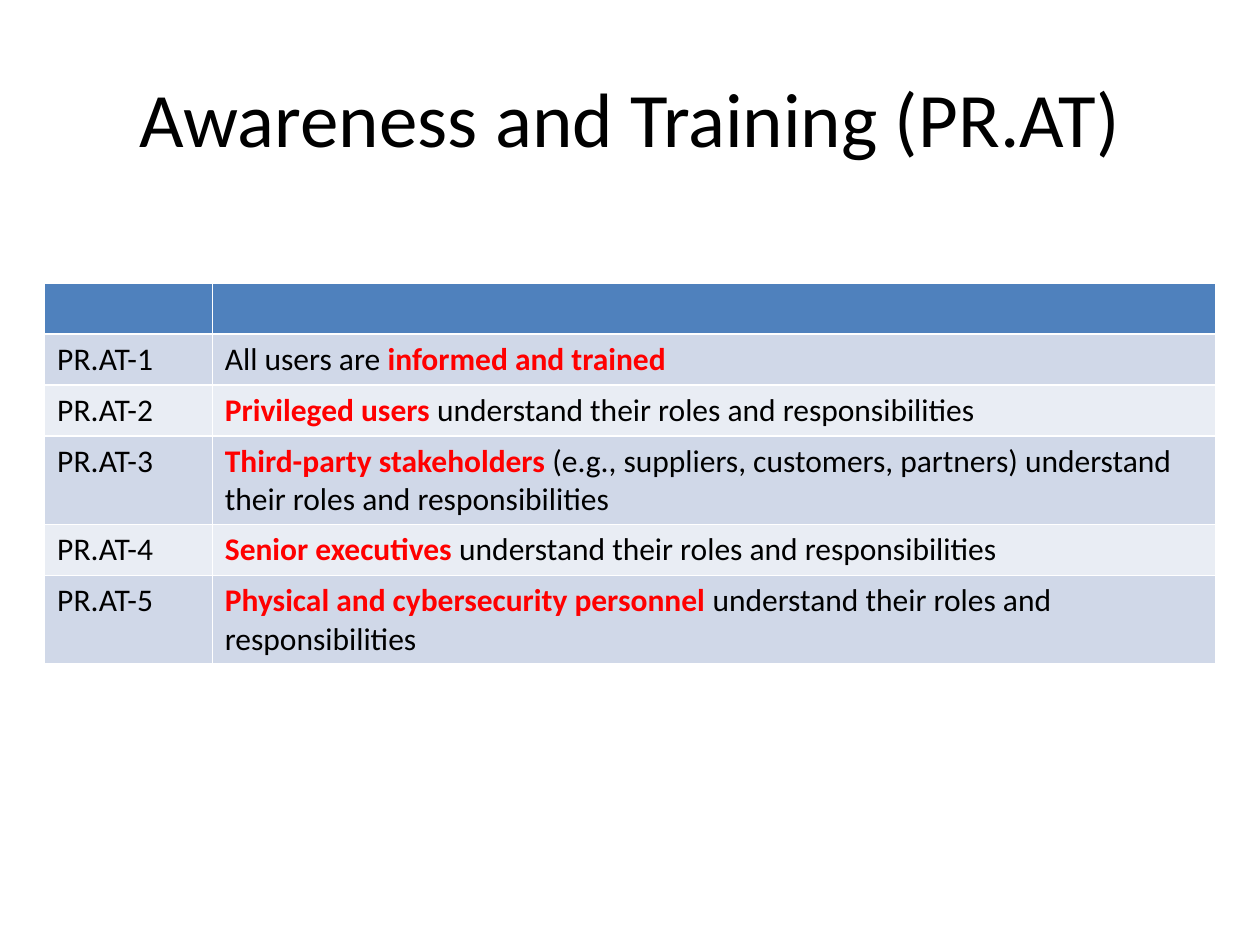
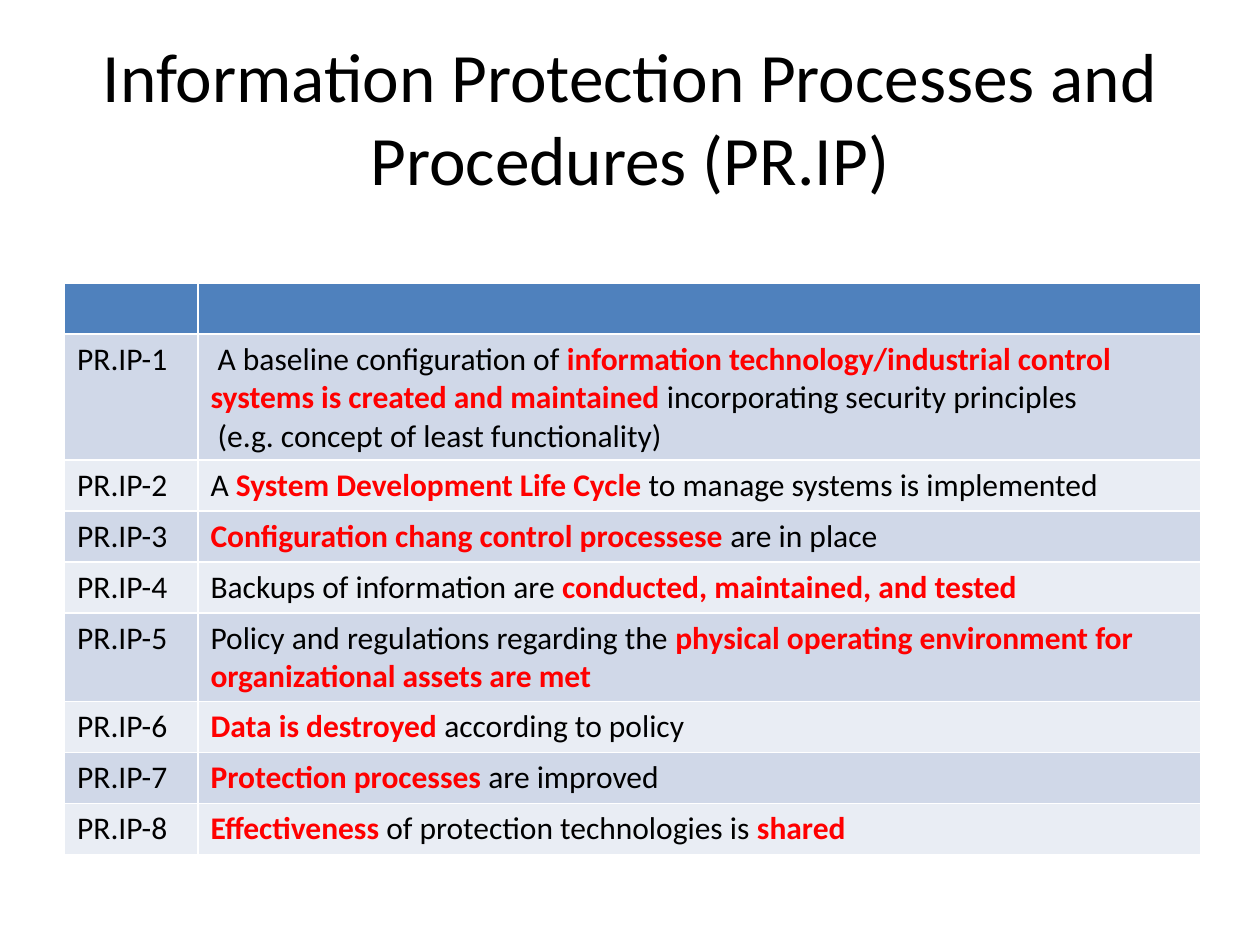
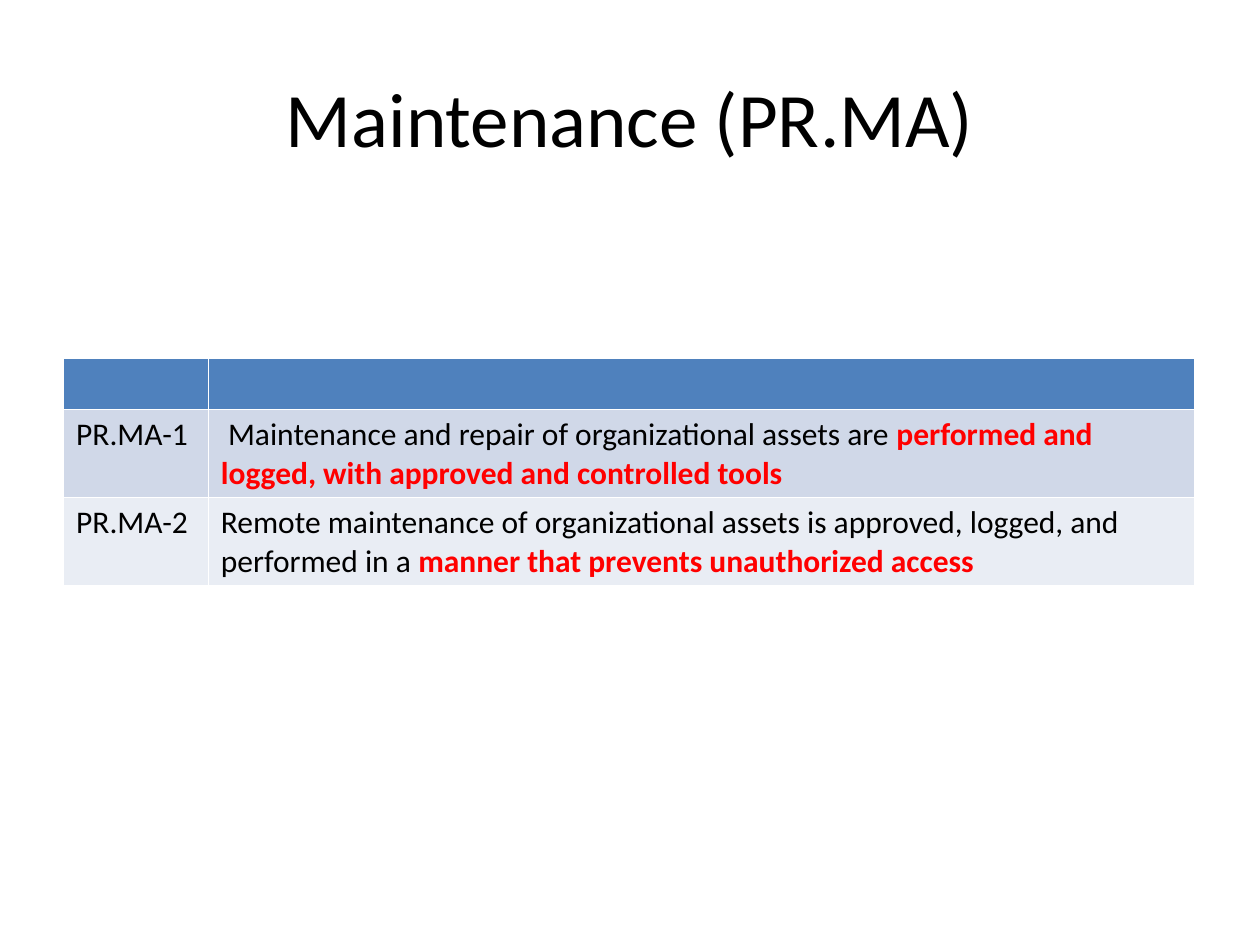
"""Builds three slides listing protection subcategories in tables."""
import pptx
import pptx.dml.color
import pptx.enum.text
import pptx.util

Cm, Pt = pptx.util.Cm, pptx.util.Pt

COLORS = {
    "text": "000000",
    "emphasis": "FF0000",
    "header": "4F81BD",
    "odd": "D0D8E8",
    "even": "E9EDF4",
}
FONT = "Calibri"
ROW_HEIGHT = 1.03

AWARENESS = [
    "All users are *informed and trained *",
    "*Privileged users* understand their roles and responsibilities ",
    "*Third-party stakeholders *(e.g., suppliers, customers, partners) "
    "understand their roles and responsibilities ",
    "*Senior executives *understand their roles and responsibilities ",
    "*Physical and cybersecurity personnel* understand their roles and responsibilities ",
]
PROTECTION = [
    " A baseline configuration of *information technology/industrial control systems "
    "is created and maintained *incorporating security principles\n"
    " (e.g. concept of least functionality)",
    "A *System Development Life Cycle *to manage systems is implemented",
    "*Configuration chang control processese *are in place",
    "Backups of information are *conducted, maintained, and tested*",
    "Policy and regulations regarding the *physical operating environment "
    "for organizational assets are met*",
    "*Data is destroyed *according to policy",
    "*Protection processes* are improved",
    "*Effectiveness* of protection technologies is *shared *",
]
MAINTENANCE = [
    " Maintenance and repair of organizational assets are *performed and logged, "
    "with approved and controlled tools*",
    "Remote maintenance of organizational assets is approved, logged, and performed "
    "in a *manner that prevents unauthorized access*",
]


def rgb(name):
    """Return the named colour."""
    return pptx.dml.color.RGBColor.from_string(COLORS[name])


def style_font(font, size):
    """Apply the shared typeface and text colour."""
    font.name = FONT
    font.size = Pt(size)
    font.color.rgb = rgb("text")


def add_title(slide, title, size):
    """Add the centred slide title."""
    box = slide.shapes.add_textbox(Cm(1.27), Cm(0.76), Cm(22.86), Cm(3.18))
    frame = box.text_frame
    frame.word_wrap = True
    frame.vertical_anchor = pptx.enum.text.MSO_ANCHOR.MIDDLE
    paragraph = frame.paragraphs[0]
    paragraph.text = title
    paragraph.alignment = pptx.enum.text.PP_ALIGN.CENTER
    style_font(paragraph.font, size)


def write_cell(cell, statement):
    """Write lines of text, emphasising the parts between asterisks."""
    frame = cell.text_frame
    for index, line in enumerate(statement.split("\n")):
        paragraph = frame.add_paragraph() if index else frame.paragraphs[0]
        style_font(paragraph.font, 18)
        for position, part in enumerate(line.split("*")):
            if part:
                run = paragraph.add_run()
                run.text = part
                if position % 2:
                    run.font.bold = True
                    run.font.color.rgb = rgb("emphasis")


def add_requirements(slide, code, statements, left, top, widths, height):
    """Add a banded table of numbered requirements under an empty header."""
    rows = [("", "")]
    rows += [(f"{code}-{number}", text) for number, text in enumerate(statements, 1)]
    holder = slide.shapes.add_table(
        len(rows), 2, Cm(left), Cm(top), Cm(sum(widths)), Cm(height))
    table = holder.table
    for column, width in zip(table.columns, widths):
        column.width = Cm(width)
    for index, row in enumerate(rows):
        table.rows[index].height = Cm(ROW_HEIGHT)
        band = "header" if index == 0 else "odd" if index % 2 else "even"
        for cell, statement in zip(table.rows[index].cells, row):
            cell.fill.solid()
            cell.fill.fore_color.rgb = rgb(band)
            write_cell(cell, statement)
    holder.height = Cm(height)


def main():
    """Build and save the presentation."""
    deck = pptx.Presentation()
    deck.slide_width, deck.slide_height = Cm(25.4), Cm(19.05)
    topics = [
        ("Awareness and Training", 44, "PR.AT", AWARENESS,
         0.9, 5.7, (3.38, 20.22), 7.67),
        ("Information Protection Processes and Procedures", 39.6, "PR.IP", PROTECTION,
         1.3, 5.7, (2.69, 20.22), 11.53),
        ("Maintenance", 44, "PR.MA", MAINTENANCE,
         1.28, 7.22, (2.92, 19.89), 4.6),
    ]
    for topic, size, code, statements, left, top, widths, height in topics:
        slide = deck.slides.add_slide(deck.slide_layouts[6])
        add_title(slide, f"{topic} ({code})", size)
        add_requirements(slide, code, statements, left, top, widths, height)
    deck.save("out.pptx")


main()
